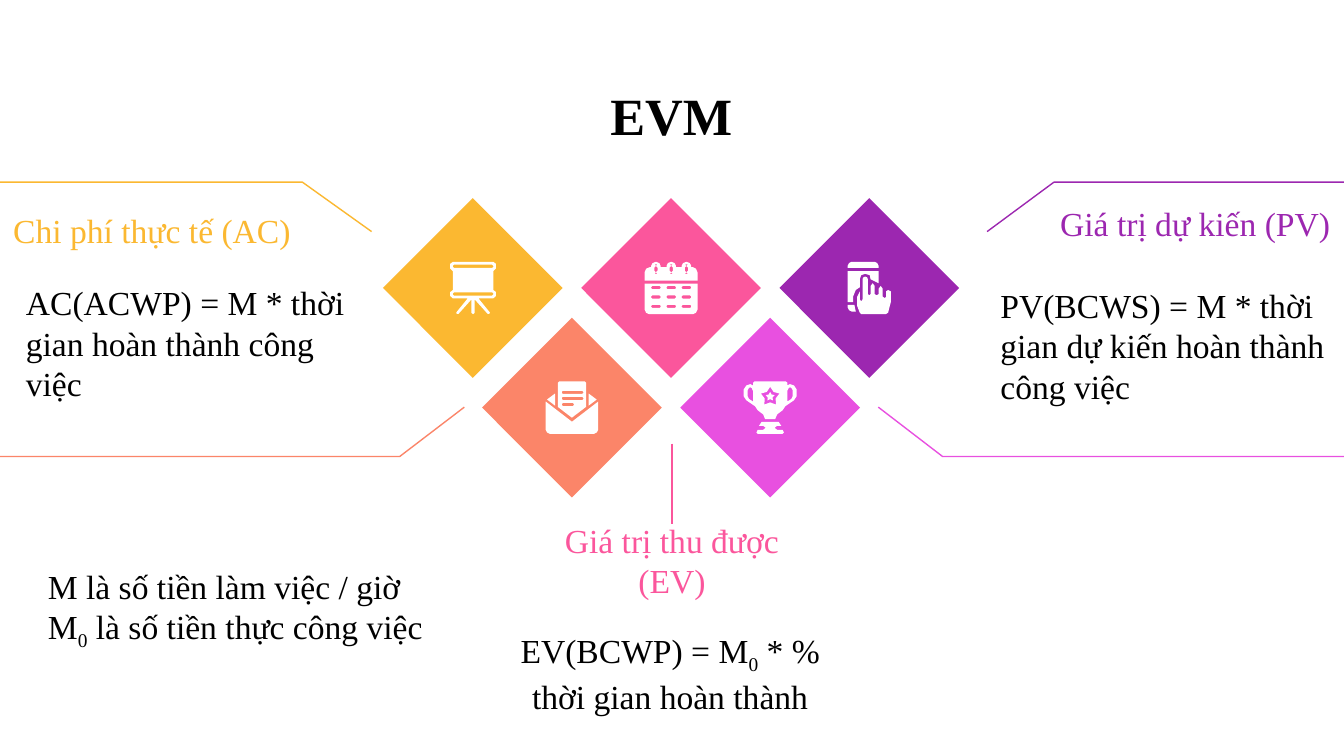
from math import cos, pi, sin

from lxml.etree import SubElement
from pptx import Presentation
from pptx.dml.color import RGBColor
from pptx.enum.shapes import MSO_CONNECTOR, MSO_SHAPE
from pptx.enum.text import MSO_ANCHOR, MSO_AUTO_SIZE, PP_ALIGN
from pptx.oxml.ns import qn
from pptx.util import Inches, Pt

COLUMNS, ROWS = 100, 56.25
FONT = "Times New Roman"
BLACK, WHITE = "000000", "FFFFFF"
YELLOW, PINK, PURPLE = "FBB831", "FB569C", "9C27B0"
CORAL, MAGENTA = "FB8569", "E850E0"
SIDE = 9.46
CENTER, STEP = 49.93, 7.375
UPPER_ROW, LOWER_ROW = 21.43, 30.33


def grid(cells):
    return Inches(cells / 10)


def color(code):
    return RGBColor.from_string(code)


def paint(figure, fill):
    figure.shadow.inherit = False
    figure.fill.solid()
    figure.fill.fore_color.rgb = color(fill)
    figure.line.fill.background()


def add_diamond(slide, center, middle, fill):
    diamond = slide.shapes.add_shape(
        MSO_SHAPE.RECTANGLE, grid(center - SIDE / 2), grid(middle - SIDE / 2),
        grid(SIDE), grid(SIDE))
    paint(diamond, fill)
    diamond.rotation = 45


def trace(slide, contours, closed):
    scaled = [[(grid(x), grid(y)) for x, y in points] for points in contours]
    builder = slide.shapes.build_freeform(*scaled[0][0])
    for index, corners in enumerate(scaled):
        if index:
            builder.move_to(*corners[0])
        builder.add_line_segments(corners[1:], close=closed)
    return builder.convert_to_shape()


def add_callout(slide, points, stroke):
    callout = trace(slide, [points], False)
    callout.shadow.inherit = False
    callout.fill.background()
    callout.line.color.rgb = color(stroke)
    callout.line.width = Pt(0.75)


def add_pointer(slide, start, end, stroke, label):
    pointer = slide.shapes.add_connector(
        MSO_CONNECTOR.STRAIGHT, *map(grid, start + end))
    pointer.line.color.rgb = color(stroke)
    pointer.line.width = Pt(0.75)
    SubElement(pointer._element.spPr, qn("a:effectLst"))
    pointer.end_connect(label, 0)


def write(frame, paragraphs, ink, align, size=18, bold=False):
    frame.word_wrap = True
    frame.auto_size = MSO_AUTO_SIZE.NONE
    frame.vertical_anchor = MSO_ANCHOR.MIDDLE
    frame.margin_left = frame.margin_right = Inches(0.1)
    frame.margin_top = frame.margin_bottom = Inches(0.1)
    for index, pieces in enumerate(paragraphs):
        paragraph = frame.add_paragraph() if index else frame.paragraphs[0]
        paragraph.alignment = align
        for piece in pieces:
            run = paragraph.add_run()
            run.text = piece
            run.font.name = FONT
            run.font.size = Pt(size)
            run.font.bold = bold
            run.font.color.rgb = color(ink)
            if piece == "0":
                run._r.get_or_add_rPr().set("baseline", "-25000")


def add_text(slide, area, paragraphs, ink=BLACK, align=PP_ALIGN.LEFT):
    box = slide.shapes.add_textbox(*map(grid, area))
    write(box.text_frame, paragraphs, ink, align)
    return box


def flip(points, axis):
    return [(2 * axis - x, y) for x, y in reversed(points)]


def mirror(half, axis):
    return half + flip(half, axis)


def slot(x, y, width, height=2.4):
    cut = height / 3
    right, bottom = x + width, y + height
    return [(x + cut, y), (right - cut, y), (right, y + cut), (right, bottom - cut),
            (right - cut, bottom), (x + cut, bottom), (x, bottom - cut), (x, y + cut)]


def star(x, y, outer, inner):
    radii = [outer, inner] * 5
    return [(x + radius * sin(k * pi / 5), y - radius * cos(k * pi / 5))
            for k, radius in enumerate(radii)]


def easel():
    half = [(17.5, 0), (32.5, 0), (34.5, 1.5), (34.5, 5), (32.5, 7), (32.5, 21),
            (34.5, 22.5), (34.5, 25.5), (32.5, 27.2), (21.5, 27.2), (30, 37.7),
            (29.6, 38.8), (28.4, 38.8), (18.7, 28), (18.7, 38), (17.5, 39)]
    return [[mirror(half, 17.5), slot(2.5, 2.2, 30), slot(2.5, 22.7, 30)]]


def calendar():
    rings = (5, 16.4, 27.7)
    head = [(0, 14), (0, 8), (1.2, 5.2), (4, 4)]
    for x in rings:
        head += [(x, 4), (x, 3), (x + 1, 1), (x + 3.5, 0), (x + 6, 1),
                 (x + 7, 3), (x + 7, 4)]
    head += [(36, 4), (38.3, 5.2), (39.5, 8), (39.5, 14)]
    body = [(0, 16.2), (39.5, 16.2), (39.5, 35.5), (38.3, 38), (36, 39),
            (3.5, 39), (1.2, 38), (0, 35.5)]
    days = [slot(x, y, 7) for y in (18, 25, 32) for x in rings]
    return [[body] + days, [head] + [slot(x + 2.3, 2, 2.4, 7) for x in rings]]


def phone():
    top = [(0, 4.5), (0, 3), (1, 1), (3, 0), (20, 0), (22, 1), (23, 3), (23, 4.5)]
    screen = [(0, 7), (23, 7), (23, 16), (19, 14), (17, 13), (16.5, 10), (13, 9),
              (10, 10), (9, 13), (9, 19), (6, 21), (4, 26), (4, 30), (0, 30)]
    bottom = [(0, 32), (5, 32), (6, 37), (3, 37), (1, 36), (0, 34)]
    hand = [(11, 13), (11.6, 11.6), (13, 11), (14.4, 11.6), (15, 13), (15, 24),
            (16, 25), (17, 24), (17, 18), (18.5, 16), (20, 18), (20, 24),
            (21.5, 25), (23, 24), (23, 20), (24.5, 18), (26, 20), (26, 26),
            (27.5, 27), (28.5, 26), (28.5, 22), (30, 21), (32, 22), (32, 30),
            (30, 38), (28, 39), (10, 39), (9, 38), (7, 33), (7, 26), (9, 22),
            (9, 28), (10, 29.5), (11, 28)]
    return [[bottom], [screen], [top], [hand]]


def envelope():
    pocket = [(0, 15), (19.5, 30), (39, 15), (39, 36), (38, 38), (36, 39),
              (3, 39), (1, 38), (0, 36)]
    flap = [(7, 9), (1, 13.5), (7, 18)]
    letter = [(9, 1), (10, 0), (29, 0), (30, 1), (30, 19), (19.5, 27), (9, 19)]
    lines = [slot(12, 7, 16), slot(12, 11.5, 16), slot(12, 16, 9)]
    return [[pocket], [flip(flap, 19.5)], [flap], [letter] + lines]


def trophy():
    axis = 19.75
    cup = [(axis, 0), (31.5, 0), (32.5, 1), (32.5, 3), (34.5, 2), (37.5, 3),
           (39.5, 6), (39.5, 11), (37.5, 14), (31, 18.5), (29, 21.5),
           (25, 24.5), (23.5, 28), (axis, 28)]
    hollow = [(7, 7), (6, 5), (5, 4.4), (4, 4.8), (3, 6.5), (3, 11), (4, 13), (7, 15)]
    base = [(axis, 30), (26, 30), (28, 33), (25, 33), (23, 34.5), (25, 36),
            (29, 36), (30, 38), (29, 39), (axis, 39)]
    return [[mirror(cup, axis), hollow, flip(hollow, axis), star(axis, 11.3, 7.3, 4.3)],
            [mirror(base, axis)], [star(axis, 11.3, 3.5, 1.9)]]


def add_icon(slide, left, top, pieces):
    for contours in pieces:
        placed = [[(left + x / 10, top + y / 10) for x, y in points]
                  for points in contours]
        paint(trace(slide, placed, True), WHITE)


def add_title(slide):
    title = slide.shapes.title
    title.left, title.top, title.width, title.height = map(grid, (7.7, 5.9, 84.5, 5.3))
    write(title.text_frame, [["EVM"]], BLACK, PP_ALIGN.CENTER, 28, True)


def main():
    deck = Presentation()
    deck.slide_width, deck.slide_height = grid(COLUMNS), grid(ROWS)
    slide = deck.slides.add_slide(deck.slide_layouts[5])
    add_title(slide)

    for offset, middle, fill, icon, width in (
            (-2, UPPER_ROW, YELLOW, easel(), 3.45),
            (0, UPPER_ROW, PINK, calendar(), 3.95),
            (2, UPPER_ROW, PURPLE, phone(), 3.2),
            (-1, LOWER_ROW, CORAL, envelope(), 3.9),
            (1, LOWER_ROW, MAGENTA, trophy(), 3.95)):
        center = CENTER + offset * STEP
        add_diamond(slide, center, middle, fill)
        add_icon(slide, center - width / 2, middle - 1.95, icon)

    for tip, bend, edge, tip_row, edge_row, stroke in (
            (27.65, 22.5, 0, 17.23, 13.55, YELLOW),
            (73.45, 78.43, COLUMNS, 17.23, 13.55, PURPLE),
            (34.55, 29.75, 0, 30.3, 33.97, CORAL),
            (65.35, 70.13, COLUMNS, 30.3, 33.97, MAGENTA)):
        add_callout(slide, [(tip, tip_row), (bend, edge_row), (edge, edge_row)], stroke)

    add_text(slide, (0, 15.5, 27.5, 3.2), [["Chi phí thực tế (AC)"]], YELLOW)
    add_text(slide, (76.9, 15, 23.07, 3.2), [["Giá trị dự kiến (PV)"]],
             PURPLE, PP_ALIGN.RIGHT)
    earned = add_text(slide, (40.2, 39, 19.6, 5.4), [["Giá trị thu được (EV)"]],
                      PINK, PP_ALIGN.CENTER)
    add_pointer(slide, (50, 33), (50, 39), PINK, earned)

    add_text(slide, (0.94, 21.35, 26.5, 8.3),
             [["AC(ACWP) = M * thời gian hoàn thành công việc"]])
    add_text(slide, (73.45, 21.55, 26.5, 8.3),
             [["PV(BCWS) = M * thời gian dự kiến hoàn thành công việc"]])
    add_text(slide, (37.47, 45.93, 24.8, 8.3),
             [["EV(BCWP) = M", "0", " * % thời gian hoàn thành"]], align=PP_ALIGN.CENTER)
    add_text(slide, (2.58, 41.13, 32.1, 8.3),
             [["M là số tiền làm việc / giờ"], ["M", "0", " là số tiền thực công việc"]])
    deck.save("out.pptx")


if __name__ == "__main__":
    main()
